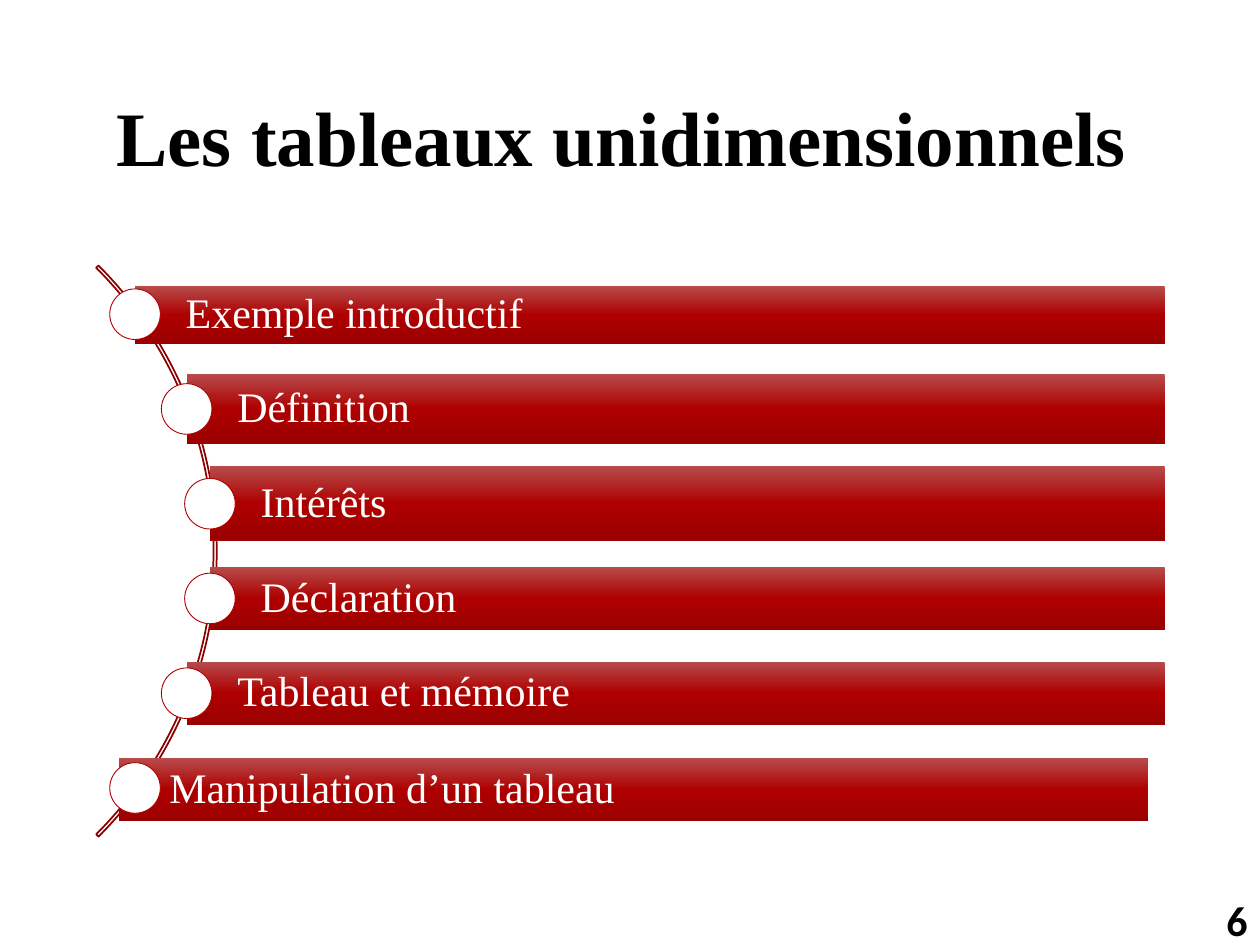
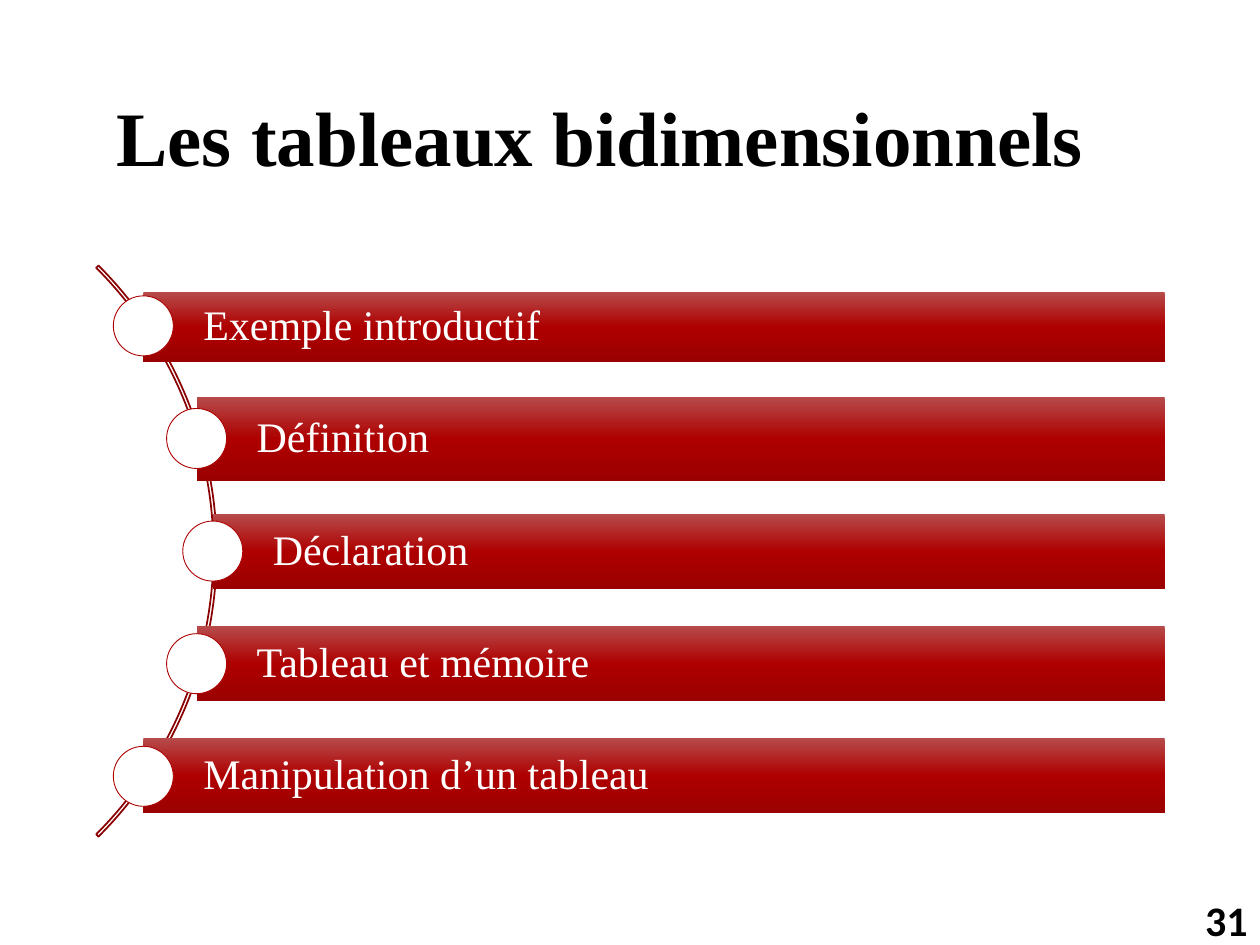
from copy import deepcopy
from math import sqrt

from pptx import Presentation
from pptx.dml.color import RGBColor
from pptx.enum import shapes, text
from pptx.oxml.ns import qn
from pptx.util import Cm, Pt

SLIDES = [
    {
        "title": "Les tableaux unidimensionnels",
        "number": "6",
        "step": 1.91,
        "diameter": 1.02,
        "topics": [
            ("Exemple introductif", 5.77, 1.17, 0),
            ("Définition", 7.54, 1.42, 0),
            ("Intérêts", 9.4, 1.5, 0),
            ("Déclaration", 11.43, 1.27, 0),
            ("Tableau et mémoire", 13.34, 1.27, 0),
            ("Manipulation d’un tableau", 15.29, 1.27, -0.33),
        ],
    },
    {
        "title": "Les tableaux bidimensionnels",
        "number": "31",
        "step": 2.27,
        "diameter": 1.21,
        "topics": [
            ("Exemple introductif", 5.89, 1.4, 0),
            ("Définition", 8, 1.7, 0),
            ("Déclaration", 10.36, 1.52, 0),
            ("Tableau et mémoire", 12.62, 1.52, 0),
            ("Manipulation d’un tableau", 14.88, 1.52, 0),
        ],
    },
]

SERIF, SANS = "Times New Roman", "Calibri"
BLACK, WHITE = "000000", "FFFFFF"
ARC_LINE, DOT_LINE = "8B0101", "AD0101"
BAR_STOPS = [(0, "B74B4B"), (0.5, "AE0000"), (1, "9B0000")]

ARC_SIZE = 16.28
ARC_CENTRE_X, ARC_CENTRE_Y = -3.77, 11.11
DOT_RADIUS = 8.06
BAR_RIGHT = 23.48


def color(value):
    return RGBColor.from_string(value)


def write(shape, words, size, font, ink, bold=False, left=0.25, margin=0.25,
          align=text.PP_ALIGN.LEFT, spacing=1.0):
    frame = shape.text_frame
    frame.word_wrap = True
    frame.vertical_anchor = text.MSO_ANCHOR.MIDDLE
    frame.margin_left, frame.margin_right = Cm(left), Cm(margin)
    frame.margin_top = frame.margin_bottom = Cm(0.13)
    frame.text = words
    para = frame.paragraphs[0]
    para.alignment = align
    para.line_spacing = spacing
    span = para.runs[0]
    span.font.name, span.font.size, span.font.bold = font, Pt(size), bold
    span.font.color.rgb = color(ink)


def add_box(page, left, top, width, height):
    return page.shapes.add_textbox(Cm(left), Cm(top), Cm(width), Cm(height))


def add_figure(page, kind, left, top, width, height, fill=None, line=None, weight=0.5):
    shape = page.shapes.add_shape(kind, Cm(left), Cm(top), Cm(width), Cm(height))
    shape.shadow.inherit = False
    if fill:
        shape.fill.solid()
        shape.fill.fore_color.rgb = color(fill)
    else:
        shape.fill.background()
    if line:
        shape.line.color.rgb = color(line)
        shape.line.width = Pt(weight)
    else:
        shape.line.fill.background()
    return shape


def shade(shape):
    shape.fill.gradient()
    shape.fill.gradient_angle = 270
    stop_list = shape._element.spPr.find(qn("a:gradFill")).find(qn("a:gsLst"))
    stop_list.append(deepcopy(stop_list[0]))
    for stop, (position, value) in zip(shape.fill.gradient_stops, BAR_STOPS):
        stop.position = position
        stop.color.rgb = color(value)


def add_arc(page):
    half = ARC_SIZE / 2
    arc = add_figure(page, shapes.MSO_SHAPE.BLOCK_ARC, ARC_CENTRE_X - half,
                     ARC_CENTRE_Y - half, ARC_SIZE, ARC_SIZE, line=ARC_LINE, weight=1)
    for index, value in enumerate((189, 27, 0.004)):
        arc.adjustments[index] = value


def add_topics(page, topics, step, diameter):
    for index, (words, top, height, shift) in enumerate(topics):
        rise = (index - (len(topics) - 1) / 2) * step
        x = ARC_CENTRE_X + sqrt(DOT_RADIUS ** 2 - rise ** 2)
        y = ARC_CENTRE_Y + rise
        bar = add_figure(page, shapes.MSO_SHAPE.RECTANGLE, x + shift, top,
                         BAR_RIGHT - x, height)
        shade(bar)
        write(bar, words, 24, SERIF, WHITE, left=diameter, margin=0.17, spacing=0.9)
        add_figure(page, shapes.MSO_SHAPE.OVAL, x - diameter / 2, y - diameter / 2,
                   diameter, diameter, fill=WHITE, line=DOT_LINE)


def main():
    deck = Presentation()
    deck.slide_width, deck.slide_height = Cm(25.4), Cm(19.05)
    for content in SLIDES:
        page = deck.slides.add_slide(deck.slide_layouts[6])
        write(add_box(page, 1.75, 1.02, 21.9, 3.68), content["title"], 44, SERIF, BLACK,
              bold=True, left=0.6, spacing=0.9)
        add_arc(page)
        add_topics(page, content["topics"], content["step"], content["diameter"])
        write(add_box(page, 19.69, 18.03, 5.71, 1.02), content["number"], 24, SANS, BLACK,
              bold=True, align=text.PP_ALIGN.RIGHT)
    deck.save("out.pptx")


if __name__ == "__main__":
    main()
